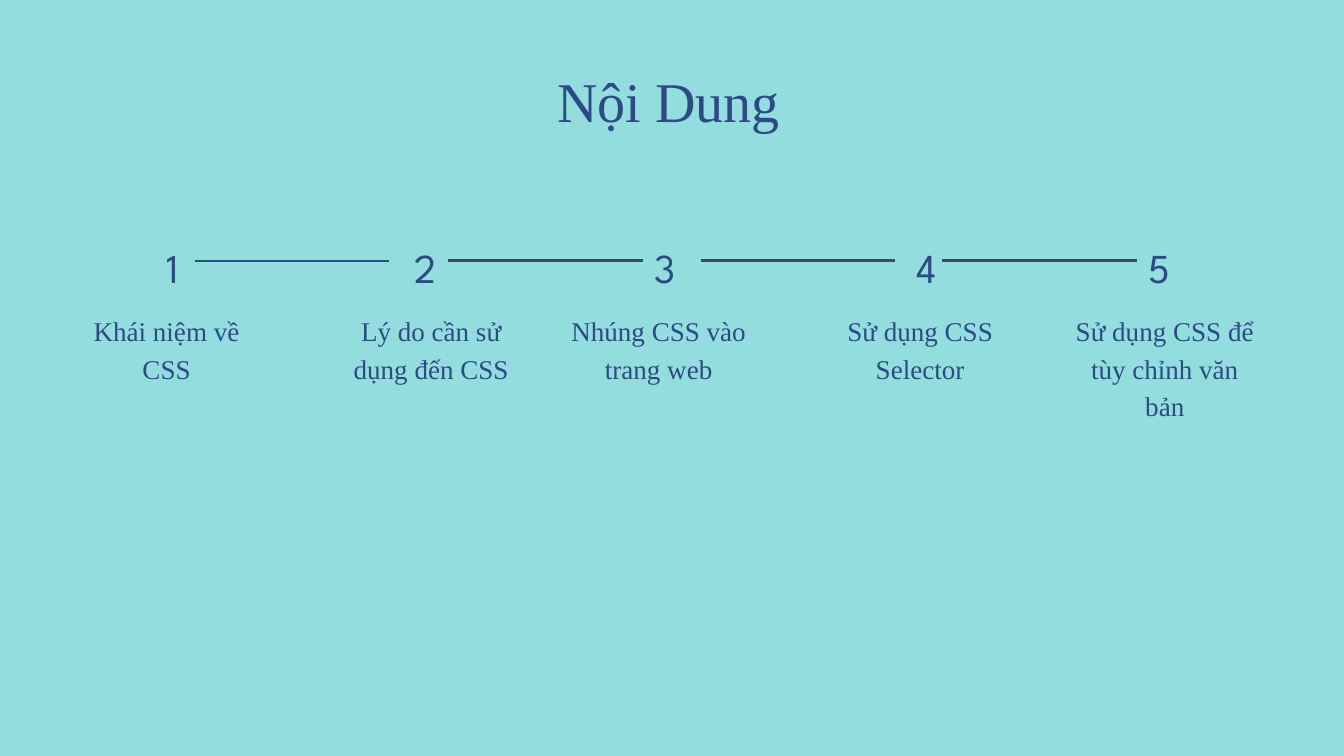
import pptx
import pptx.dml.color
import pptx.enum.shapes
import pptx.enum.text
import pptx.oxml
import pptx.oxml.ns
import pptx.util

PX = 9525  # EMU per px, 96 px to the inch
NAVY = pptx.dml.color.RGBColor(0x2B, 0x4B, 0x82)
AQUA = pptx.dml.color.RGBColor(0x94, 0xDD, 0xDE)

TITLE = "Nội Dung"
TITLE_BOX = (108, 95, 1694, 109)

# (label, label left, label width, label height, number left)
STEPS = [
    ("Khái niệm về CSS", 109, 258, 112, 215),
    ("Lý do cần sử dụng đến CSS", 490, 252, 112, 576),
    ("Nhúng CSS vào trang web", 812, 258, 112, 919),
    ("Sử dụng CSS Selector", 1174, 281, 112, 1292),
    ("Sử dụng CSS để tùy chỉnh văn bản", 1535, 258, 166, 1624),
]
LABEL_TOP = 441
NUMBER_TOP, NUMBER_W, NUMBER_H = 334, 63, 79

LINE_STARTS = [(278, 373), (640, 372), (1001, 372), (1346, 372)]
LINE_LENGTH = 278

TITLE_STYLE = {"name": "Times New Roman", "size": pptx.util.Pt(60)}
LABEL_STYLE = {"name": "Times New Roman", "size": pptx.util.Pt(29)}
NUMBER_STYLE = {"name": "League Spartan", "size": pptx.util.Pt(44)}


def px(*lengths):
    return [length * PX for length in lengths]


def fill_text(shape, text, style, leading, tracking=None):
    """Write centred text; leading is in points, tracking in 1/100 point."""
    tf = shape.text_frame
    frame = {
        "margin_left": 0, "margin_top": 0, "margin_right": 0, "margin_bottom": 0,
        "word_wrap": True,
        "vertical_anchor": pptx.enum.text.MSO_ANCHOR.TOP,
        "auto_size": pptx.enum.text.MSO_AUTO_SIZE.SHAPE_TO_FIT_TEXT,
    }
    for name, value in frame.items():
        setattr(tf, name, value)
    p = tf.paragraphs[0]
    p.alignment = pptx.enum.text.PP_ALIGN.CENTER
    p.line_spacing = pptx.util.Pt(leading)
    r = p.add_run()
    r.text = text
    for name, value in style.items():
        setattr(r.font, name, value)
    r.font.color.rgb = NAVY
    if tracking:
        r.font._element.set("spc", str(tracking))


def add_rule(s, x, y):
    rule = s.shapes.add_connector(
        pptx.enum.shapes.MSO_CONNECTOR.STRAIGHT, *px(x, y, x + LINE_LENGTH, y))
    rule.line.color.rgb = NAVY
    rule.line.width = pptx.util.Pt(3)
    rule._element.spPr.append(
        pptx.oxml.parse_xml(f'<a:effectLst {pptx.oxml.ns.nsdecls("a")}/>'))


def main():
    prs = pptx.Presentation()
    prs.slide_width, prs.slide_height = px(1920, 1080)
    s = prs.slides.add_slide(prs.slide_layouts[5])
    s.background.fill.solid()
    s.background.fill.fore_color.rgb = AQUA

    title = s.shapes.title
    title.left, title.top, title.width, title.height = px(*TITLE_BOX)
    fill_text(title, TITLE, TITLE_STYLE, 72)

    for number, (label, left, width, height, number_left) in enumerate(STEPS, 1):
        box = s.shapes.add_textbox(*px(left, LABEL_TOP, width, height))
        fill_text(box, label, LABEL_STYLE, 40.6)
        box = s.shapes.add_textbox(*px(number_left, NUMBER_TOP, NUMBER_W, NUMBER_H))
        fill_text(box, str(number), NUMBER_STYLE, 61.6, tracking=750)

    for x, y in LINE_STARTS:
        add_rule(s, x, y)

    prs.save("out.pptx")


if __name__ == "__main__":
    main()
